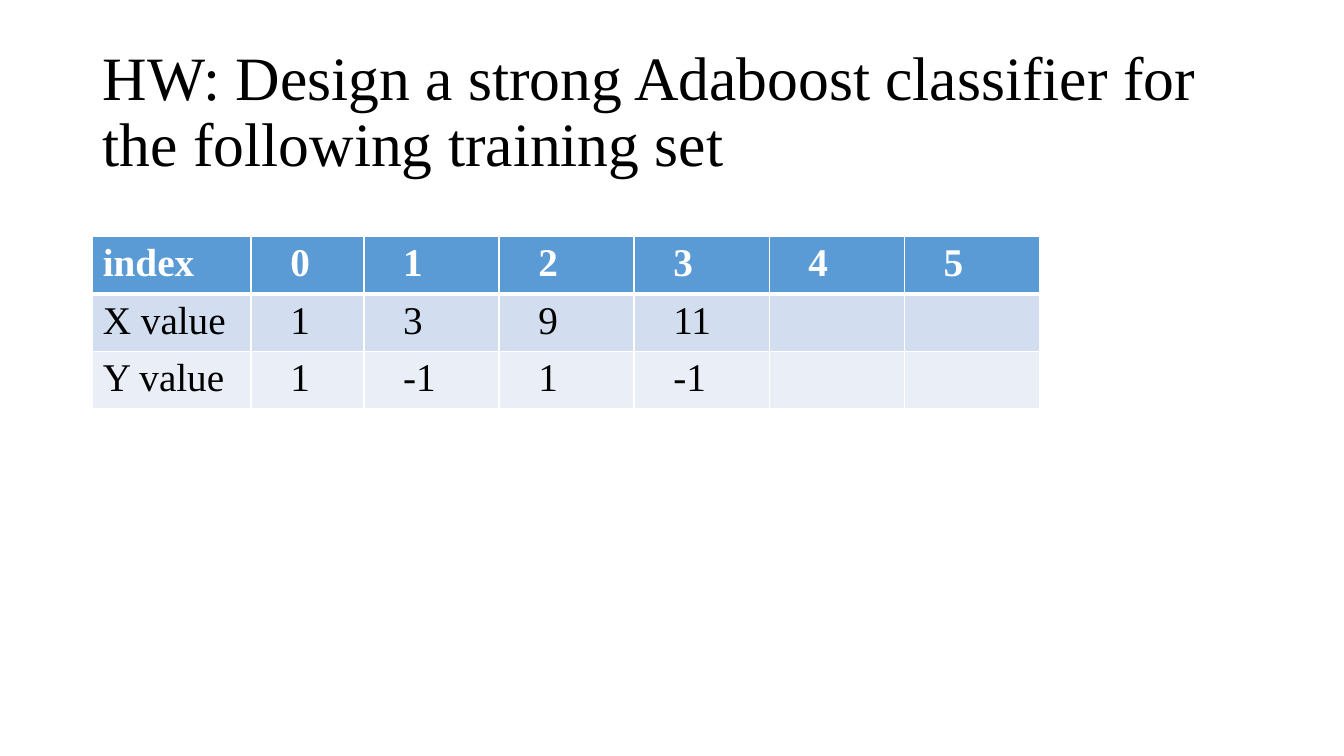
import pptx
import pptx.util
import pptx.dml.color
import pptx.enum.text
import pptx.oxml
import lxml.etree

# Content
TITLE = "HW: Design a strong Adaboost classifier for the following training set"
ROWS = [
    ("index", "0", "1", "2", "3", "4", "5"),
    ("X value", "1", "3", "9", "11", "", ""),
    ("Y value", "1", "-1", "1", "-1", "", ""),
]

# Style: fill and text colour of each row
FONT = "Times New Roman"
TONES = [("5B9BD5", "FFFFFF"), ("D2DEEF", "000000"), ("EAEFF7", "000000")]
RULE = "FFFFFF"

# Grid, in inches
LEFT, TOP = 0.92, 2.35
COLS = [1.57, 1.12] + [1.34] * 5
HIGH = 0.53
INDENT = 0.39

inch = pptx.util.Inches


def color(code):
    return pptx.dml.color.RGBColor.from_string(code)


def style(para, size, tone, bold=False):
    for run in para.runs:
        run.font.name = FONT
        run.font.size = pptx.util.Pt(size)
        run.font.bold = bold
        run.font.color.rgb = color(tone)


def border(cell, side, width):
    props = cell._tc.get_or_add_tcPr()
    name = pptx.oxml.ns.qn
    line = lxml.etree.SubElement(props, name("a:ln" + side),
                                 w=str(pptx.util.Pt(width)))
    fill = lxml.etree.SubElement(line, name("a:solidFill"))
    lxml.etree.SubElement(fill, name("a:srgbClr"), val=RULE)


deck = pptx.Presentation()
deck.slide_width, deck.slide_height = inch(13.33), inch(7.5)
slide = deck.slides.add_slide(deck.slide_layouts[6])

# Title
box = slide.shapes.add_textbox(inch(LEFT), inch(0.4), inch(11.5), inch(1.45))
frame = box.text_frame
frame.word_wrap = True
frame.vertical_anchor = pptx.enum.text.MSO_ANCHOR.MIDDLE
frame.text = TITLE
frame.paragraphs[0].line_spacing = 0.9
style(frame.paragraphs[0], 44, "000000")

# Training set table
table = slide.shapes.add_table(
    len(ROWS), len(COLS), inch(LEFT), inch(TOP),
    inch(sum(COLS)), inch(HIGH * len(ROWS))).table
for col, width in zip(table.columns, COLS):
    col.width = inch(width)

for r, (row, (fill, tone)) in enumerate(zip(ROWS, TONES)):
    table.rows[r].height = inch(HIGH)
    for c, text in enumerate(row):
        cell = table.cell(r, c)
        for side in "LRTB":
            heavy = (r, side) in ((0, "B"), (1, "T"))
            border(cell, side, 3 if heavy else 1)
        cell.fill.solid()
        cell.fill.fore_color.rgb = color(fill)
        if c:
            cell.margin_left = inch(INDENT)
        cell.text_frame.text = text
        style(cell.text_frame.paragraphs[0], 28, tone, bold=r == 0)

deck.save("out.pptx")
